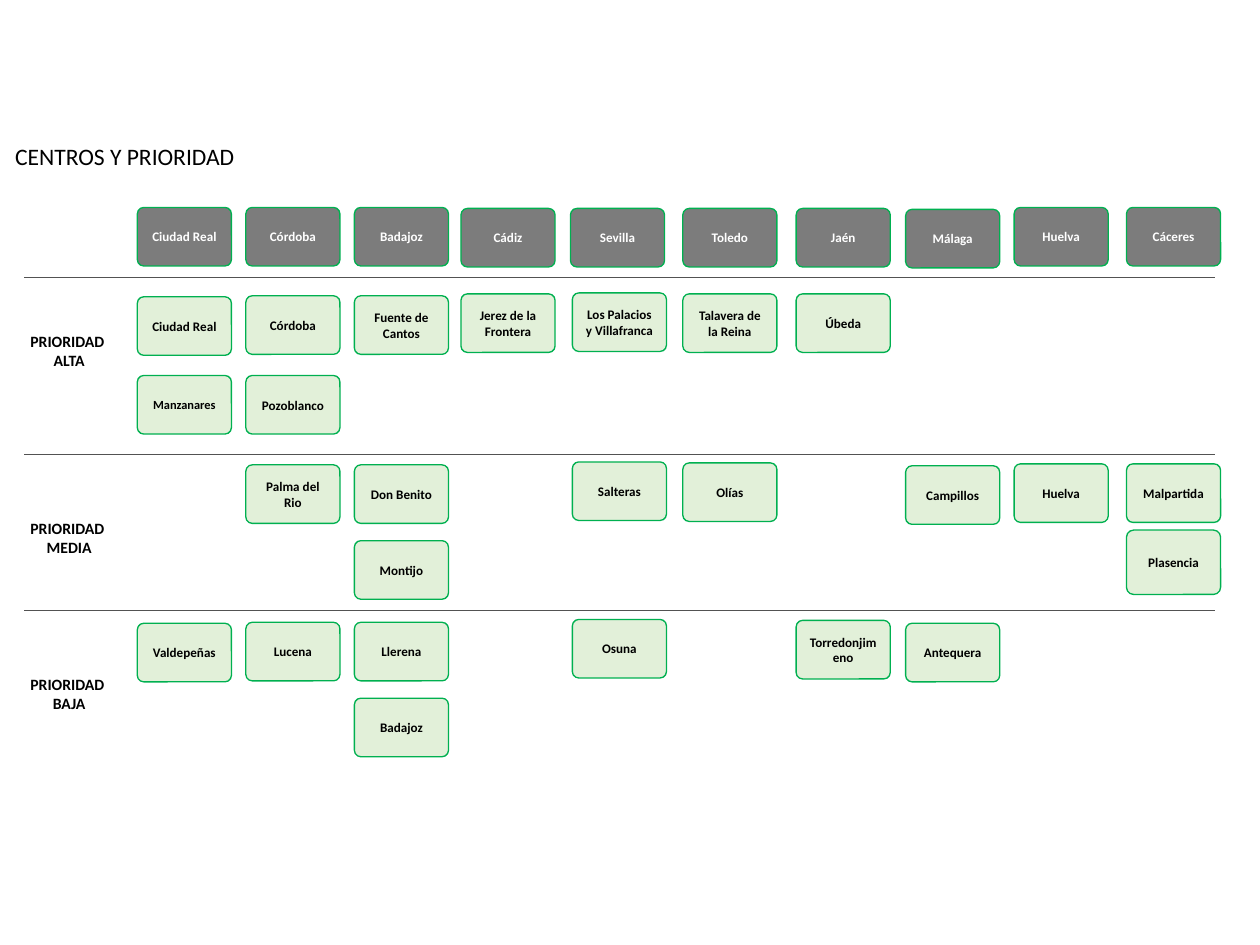
from pptx import Presentation
from pptx.dml.color import RGBColor
from pptx.enum.shapes import MSO_CONNECTOR as Connector, MSO_SHAPE as Shape
from pptx.enum.text import MSO_ANCHOR as Anchor, MSO_AUTO_SIZE as AutoSize, PP_ALIGN as Align
from pptx.oxml.ns import qn
from pptx.util import Inches, Pt
from lxml import etree


def color(hex_code):
    return RGBColor.from_string(hex_code)


class PriorityBoard:
    FONT = "Calibri"
    BLACK, WHITE = "000000", "FFFFFF"
    GREY, PALE_GREEN, GREEN, RULE = "7C7C7C", "E2F0D9", "00B050", "525252"
    CARD_WIDTH, CARD_HEIGHT = 0.98, 0.61

    def __init__(self, slide):
        self.slide = slide

    def style(self, frame, size, ink, bold, align):
        for paragraph in frame.paragraphs:
            paragraph.alignment = align
            for run in paragraph.runs:
                run.font.name = self.FONT
                run.font.size = Pt(size)
                run.font.bold = bold
                run.font.color.rgb = color(ink)

    def card(self, name, left, top, fill=PALE_GREEN, ink=BLACK, size=9.8, height=CARD_HEIGHT):
        card = self.slide.shapes.add_shape(
            Shape.ROUNDED_RECTANGLE, Inches(left), Inches(top),
            Inches(self.CARD_WIDTH), Inches(height))
        card.adjustments[0] = 0.11
        card.shadow.inherit = False
        card.fill.solid()
        card.fill.fore_color.rgb = color(fill)
        card.line.color.rgb = color(self.GREEN)
        card.line.width = Pt(1)
        frame = card.text_frame
        frame.word_wrap = True
        frame.vertical_anchor = Anchor.MIDDLE
        frame.text = name
        self.style(frame, size, ink, True, Align.CENTER)

    def header(self, province, left, top):
        self.card(province, left, top, self.GREY, self.WHITE)

    def label(self, text, left, top, width, height, size, bold=False, align=Align.LEFT):
        box = self.slide.shapes.add_textbox(
            Inches(left), Inches(top), Inches(width), Inches(height))
        frame = box.text_frame
        frame.word_wrap = False
        frame.auto_size = AutoSize.SHAPE_TO_FIT_TEXT
        frame.text = text
        self.style(frame, size, self.BLACK, bold, align)

    def divider(self, top):
        line = self.slide.shapes.add_connector(
            Connector.STRAIGHT, Inches(0.25), Inches(top), Inches(12.65), Inches(top))
        line.line.color.rgb = color(self.RULE)
        line.line.width = Pt(1)
        etree.SubElement(line._element.spPr, qn("a:effectLst"))


# Province, column left, header top, then its centres with their tops
PROVINCES = [
    ("Ciudad Real", 1.43, 2.16,
     [("Ciudad Real", 3.09), ("Manzanares", 3.91), ("Valdepeñas", 6.49)]),
    ("Córdoba", 2.56, 2.16,
     [("Córdoba", 3.08), ("Pozoblanco", 3.91), ("Palma del Rio", 4.84), ("Lucena", 6.48)]),
    ("Badajoz", 3.69, 2.16,
     [("Fuente de Cantos", 3.08), ("Don Benito", 4.84), ("Montijo", 5.63),
      ("Llerena", 6.48), ("Badajoz", 7.27)]),
    ("Cádiz", 4.8, 2.17, [("Jerez de la Frontera", 3.06)]),
    ("Sevilla", 5.94, 2.17,
     [("Los Palacios y Villafranca", 3.05), ("Salteras", 4.81), ("Osuna", 6.45)]),
    ("Toledo", 7.11, 2.17, [("Talavera de la Reina", 3.06), ("Olías", 4.82)]),
    ("Jaén", 8.29, 2.17, [("Úbeda", 3.06), ("Torredonjimeno", 6.46)]),
    ("Málaga", 9.43, 2.18, [("Campillos", 4.85), ("Antequera", 6.49)]),
    ("Huelva", 10.56, 2.16, [("Huelva", 4.83)]),
    ("Cáceres", 11.73, 2.16, [("Malpartida", 4.83), ("Plasencia", 5.52)]),
]
CENTRE_SHIFT = {"Sevilla": 0.02}
CENTRE_FORMAT = {"Manzanares": {"size": 9.3}, "Plasencia": {"height": 0.67}}

# Priority level, label top, top of the divider above it
PRIORITIES = [("ALTA", 3.41, 2.89), ("MEDIA", 5.35, 4.73), ("BAJA", 6.98, 6.36)]


def main():
    deck = Presentation()
    deck.slide_width, deck.slide_height = Inches(13.12), Inches(9.84)
    board = PriorityBoard(deck.slides.add_slide(deck.slide_layouts[6]))

    # Title
    board.label("CENTROS Y PRIORIDAD", 0.06, 1.43, 2.52, 0.4, 17.7)

    # Priority rows
    for level, label_top, divider_top in PRIORITIES:
        board.divider(divider_top)
        board.label(f"PRIORIDAD \n{level}", 0.21, label_top, 1.02, 0.5, 11.8, True, Align.CENTER)

    # Province columns
    for province, left, header_top, centres in PROVINCES:
        board.header(province, left, header_top)
        centre_left = left + CENTRE_SHIFT.get(province, 0)
        for centre, top in centres:
            board.card(centre, centre_left, top, **CENTRE_FORMAT.get(centre, {}))

    deck.save("out.pptx")


if __name__ == "__main__":
    main()
